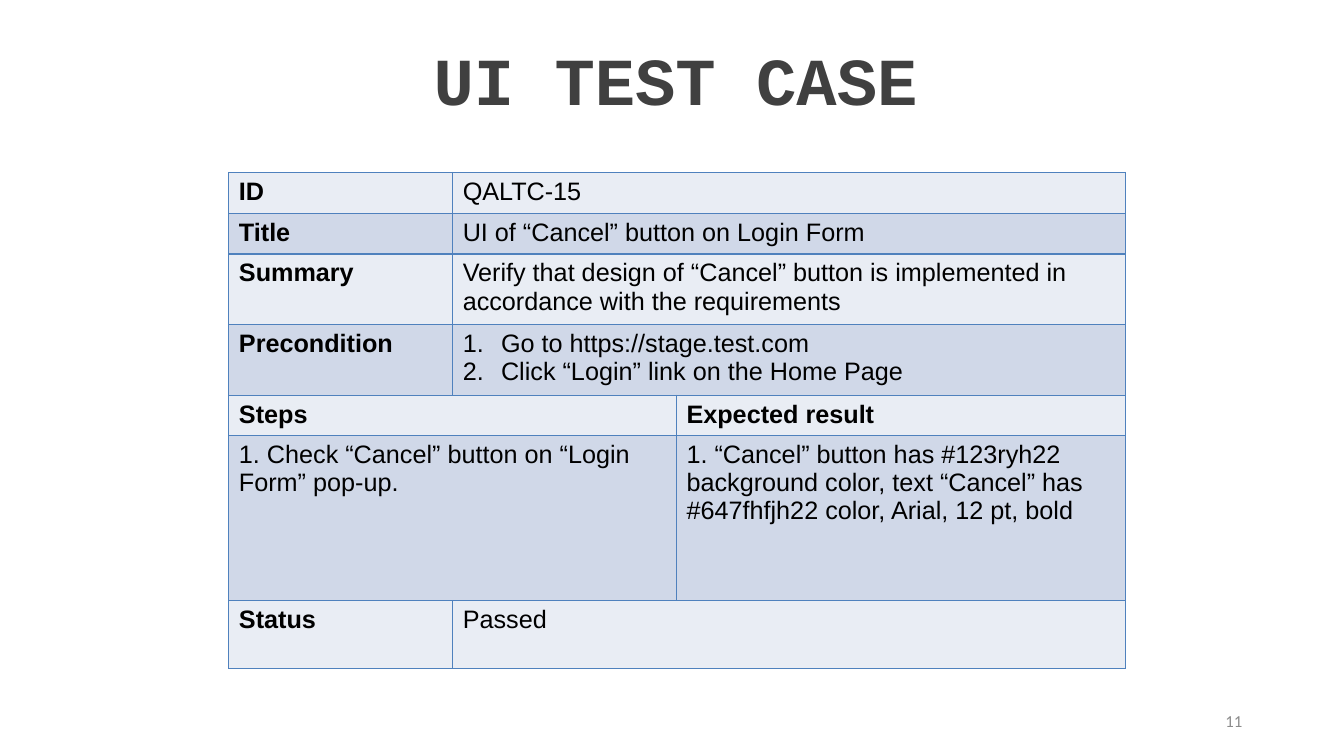
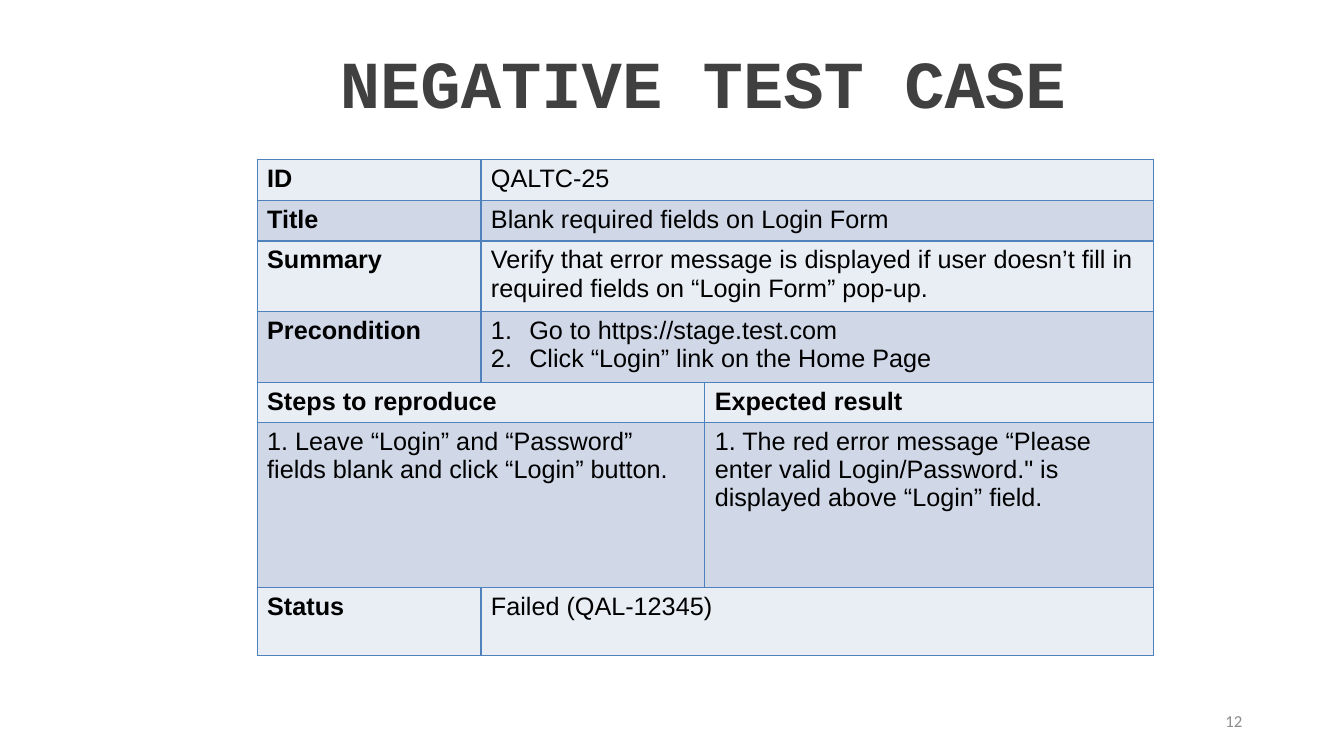
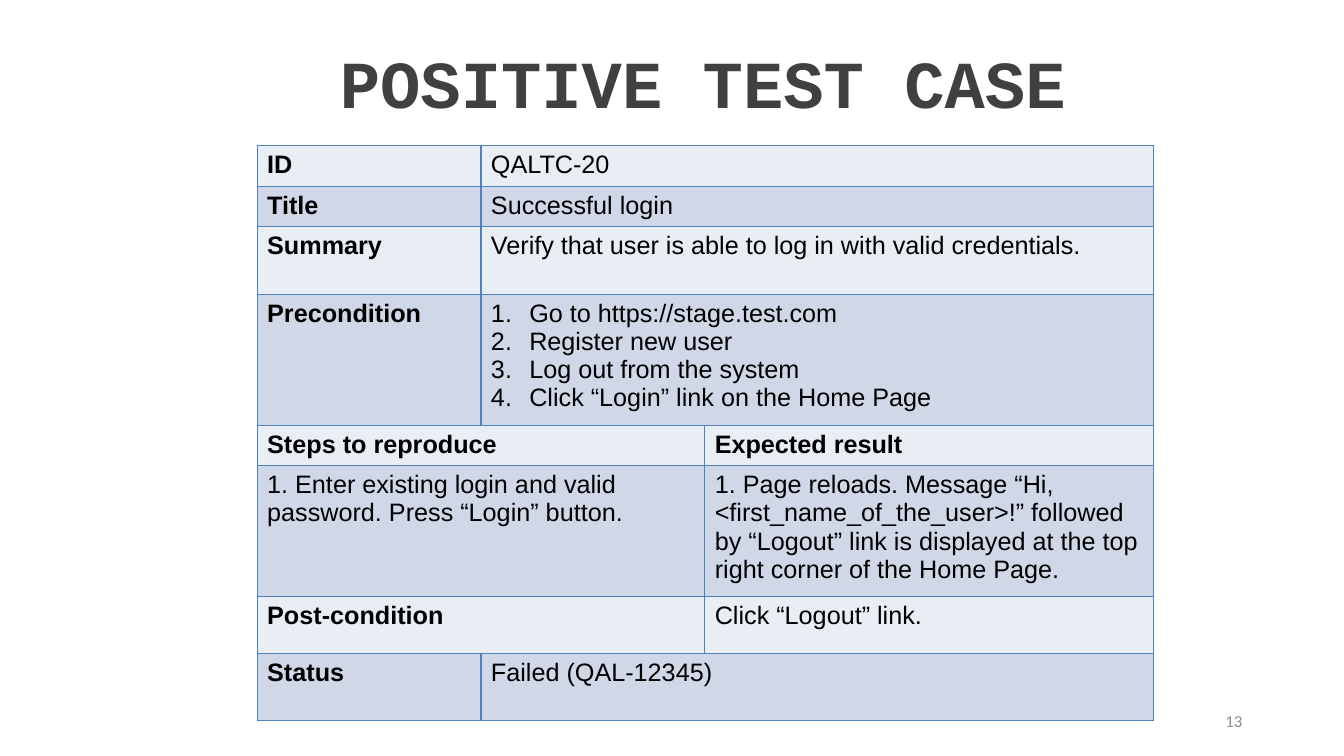
from dataclasses import dataclass
from itertools import cycle

from lxml.etree import SubElement
from pptx import Presentation
from pptx.dml.color import RGBColor
from pptx.enum.text import MSO_ANCHOR, MSO_AUTO_SIZE, PP_ALIGN
from pptx.oxml import parse_xml
from pptx.oxml.ns import nsdecls, qn
from pptx.util import Pt

PX = 9144  # EMU in one px, 100 px to the inch
TITLE_ONLY = 5
FIRST_NUMBER = 11


@dataclass(frozen=True)
class Theme:
    title = {"name": "Courier New", "size": Pt(48), "bold": True}
    body = {"name": "Arial", "size": Pt(18)}
    number = {"name": "Calibri", "size": Pt(12)}
    title_color = "404040"
    body_color = "000000"
    number_color = "8C8C8C"
    bands = ("E9EDF4", "D0D8E8")
    border_color = "4F81BD"
    border_width = Pt(1)


THEME = Theme()


@dataclass(frozen=True)
class RowKind:
    """How many columns the left cell spans, and which cells are bold."""
    split: int
    bold_left: bool
    bold_right: bool


FIELD = RowKind(1, True, False)
HEADS = RowKind(2, True, True)
STEPS = RowKind(2, False, False)
AFTER = RowKind(2, True, False)

COLUMNS = (222, 222, 445)
NUMBER_BOX = (942, 695, 300, 40)
LIST_INDENT = 38
LOGIN_LINK = "Click “Login” link on the Home Page"
SITE = "Go to https://stage.test.com"


def set_format(target, values):
    for name, value in values.items():
        setattr(target, name, value)


def place(shape, box):
    edges = ("left", "top", "width", "height")
    set_format(shape, {edge: length * PX for edge, length in zip(edges, box)})


def write(para, text, font, color):
    span = para.add_run()
    span.text = text
    set_format(span.font, font)
    span.font.color.rgb = RGBColor.from_string(color)


def add_title(page, text, box):
    title = page.shapes.title
    place(title, box)
    set_format(title.text_frame, {
        "word_wrap": False,
        "auto_size": MSO_AUTO_SIZE.SHAPE_TO_FIT_TEXT,
        "vertical_anchor": MSO_ANCHOR.TOP,
    })
    para = title.text_frame.paragraphs[0]
    para.alignment = PP_ALIGN.LEFT
    write(para, text, THEME.title, THEME.title_color)


def add_number(page, number, box):
    frame = page.shapes.add_textbox(*(length * PX for length in box)).text_frame
    set_format(frame, {"word_wrap": True, "vertical_anchor": MSO_ANCHOR.MIDDLE})
    para = frame.paragraphs[0]
    para.alignment = PP_ALIGN.RIGHT
    write(para, str(number), THEME.number, THEME.number_color)


def style_cell(cell, band):
    cell.fill.solid()
    cell.fill.fore_color.rgb = RGBColor.from_string(band)
    properties = cell._tc.get_or_add_tcPr()
    # Border lines stand before the fill
    for position, side in enumerate(("lnL", "lnR", "lnT", "lnB")):
        properties.insert(position, parse_xml(
            f'<a:{side} {nsdecls("a")} w="{THEME.border_width}"><a:solidFill>'
            f'<a:srgbClr val="{THEME.border_color}"/></a:solidFill></a:{side}>'))


def number_paragraph(para):
    properties = para._p.get_or_add_pPr()
    properties.set("marL", str(LIST_INDENT * PX))
    properties.set("indent", str(-LIST_INDENT * PX))
    SubElement(properties, qn("a:buAutoNum"), type="arabicPeriod")


def fill_cell(cell, content, bold):
    """Write a string, or a tuple of strings as a numbered list."""
    numbered = isinstance(content, tuple)
    frame = cell.text_frame
    for index, line in enumerate(content if numbered else (content,)):
        para = frame.add_paragraph() if index else frame.paragraphs[0]
        if numbered:
            number_paragraph(para)
        write(para, line, {**THEME.body, "bold": bold}, THEME.body_color)


def add_case_table(page, rows, left, top):
    heights = [height for height, *_ in rows]
    box = (left, top, sum(COLUMNS), sum(heights))
    table = page.shapes.add_table(
        len(rows), len(COLUMNS), *(length * PX for length in box)).table
    set_format(table, {"first_row": False, "horz_banding": False})
    for column, width in zip(table.columns, COLUMNS):
        column.width = width * PX

    last = len(COLUMNS) - 1
    for index, (row, band) in enumerate(zip(rows, cycle(THEME.bands))):
        height, kind, left_text, right_text = row
        table.rows[index].height = height * PX
        for cell in table.rows[index].cells:
            style_cell(cell, band)
        for start, end, content, bold in (
                (0, kind.split - 1, left_text, kind.bold_left),
                (kind.split, last, right_text, kind.bold_right)):
            cell = table.cell(index, start)
            if end > start:
                cell.merge(table.cell(index, end))
            fill_cell(cell, content, bold)


def case_rows(case_id, title, summary, precondition, steps_head,
              steps, expected, status, steps_height=164, after=None):
    rows = [
        (41, FIELD, "ID", case_id),
        (39, FIELD, "Title", title),
        (67, FIELD, "Summary", summary),
        (67, FIELD, "Precondition", precondition),
        (40, HEADS, steps_head, "Expected result"),
        (steps_height, STEPS, steps, expected),
    ]
    if after:
        rows.append((56, AFTER, "Post-condition", after))
    return rows + [(67, FIELD, "Status", status)]


def add_case_page(deck, number, title, title_box, table_at, case):
    page = deck.slides.add_slide(deck.slide_layouts[TITLE_ONLY])
    add_number(page, number, NUMBER_BOX)
    add_title(page, title, title_box)
    add_case_table(page, case_rows(**case), *table_at)


# Title, title box, table corner and contents of each test case
CASES = [
    ("UI TEST CASE", (420, 33, 504, 91), (227, 171), {
        "case_id": "QALTC-15",
        "title": "UI of “Cancel” button on Login Form",
        "summary": "Verify that design of “Cancel” button is implemented in "
                   "accordance with the requirements",
        "precondition": (SITE, LOGIN_LINK),
        "steps_head": "Steps",
        "steps": "1. Check “Cancel” button on “Login Form” pop-up.",
        "expected": "1. “Cancel” button has #123ryh22 background color, text "
                    "“Cancel” has #647fhfjh22 color, Arial, 12 pt, bold",
        "status": "Passed",
    }),
    ("NEGATIVE TEST CASE", (327, 36, 746, 91), (255, 158), {
        "case_id": "QALTC-25",
        "title": "Blank required fields on Login Form",
        "summary": "Verify that error message is displayed if user doesn’t "
                   "fill in required fields on “Login Form” pop-up.",
        "precondition": (SITE, LOGIN_LINK),
        "steps_head": "Steps to reproduce",
        "steps": "1. Leave “Login” and “Password” fields blank and click "
                 "“Login” button.",
        "expected": "1. The red error message “Please enter valid "
                    "Login/Password.\" is displayed above “Login” field.",
        "status": "Failed (QAL-12345)",
    }),
    ("POSITIVE TEST CASE", (327, 36, 746, 91), (255, 144), {
        "case_id": "QALTC-20",
        "title": "Successful login",
        "summary": "Verify that user is able to log in with valid credentials.",
        "precondition": (SITE, "Register new user", "Log out from the system",
                         LOGIN_LINK),
        "steps_head": "Steps to reproduce",
        "steps": "1. Enter existing login and valid password. Press “Login” "
                 "button.",
        "expected": "1. Page reloads. Message “Hi, <first_name_of_the_user>!” "
                    "followed by “Logout” link is displayed at the top right "
                    "corner of the Home Page.",
        "status": "Failed (QAL-12345)",
        "steps_height": 56,
        "after": "Click “Logout” link.",
    }),
]


def main():
    deck = Presentation()
    set_format(deck, {"slide_width": 1333 * PX, "slide_height": 750 * PX})
    for number, case in enumerate(CASES, FIRST_NUMBER):
        add_case_page(deck, number, *case)
    deck.save("out.pptx")


if __name__ == "__main__":
    main()
